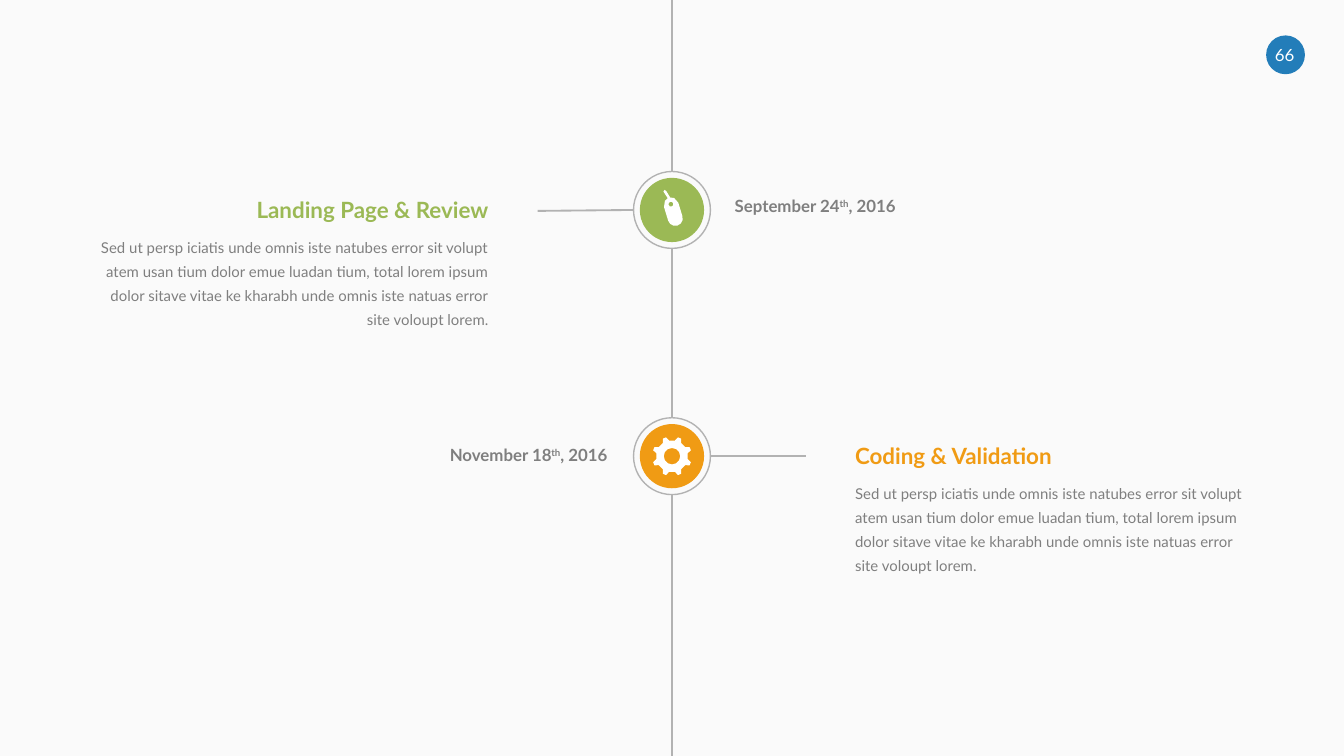
from dataclasses import dataclass
from math import cos, pi, radians, sin
from typing import Callable

from lxml import etree
from pptx import Presentation
from pptx.dml.color import RGBColor
from pptx.enum.shapes import MSO_CONNECTOR, MSO_SHAPE
from pptx.enum.text import PP_ALIGN
from pptx.oxml.ns import qn
from pptx.util import Pt

OVAL = MSO_SHAPE.OVAL
STRAIGHT = MSO_CONNECTOR.STRAIGHT
LEFT, CENTER, RIGHT = PP_ALIGN.LEFT, PP_ALIGN.CENTER, PP_ALIGN.RIGHT

COLORS = {
    "background": "FAFAFA",
    "line": "B2B2B2",
    "text": "7F7F7F",
    "white": "FFFFFF",
    "blue": "237DB9",
    "green": "9BB955",
    "orange": "F09B14",
}
FONT = "Lato"
WIDTH, HEIGHT = 720, 405
AXIS = WIDTH / 2
RING, DISC = 41.2, 34.4
BRANCH = 51.4
TEXT_WIDTH, DATE_WIDTH = 208, 116.6
BODY = (
    "Sed ut persp iciatis unde omnis iste natubes error sit volupt atem usan "
    "tium dolor emue luadan tium, total lorem ipsum dolor sitave vitae ke "
    "kharabh unde omnis iste natuas error site voloupt lorem."
)

Point = tuple[float, float]
Contour = list[Point]


@dataclass
class Run:
    text: str
    superscript: bool = False


@dataclass
class Milestone:
    title: str
    day: str
    year: str
    y: float
    branch_drop: float
    date_top: float
    color: str
    on_left: bool
    icon: Callable[[], list[Contour]]


def arc(radius: float, start: float, end: float, steps: int, y: float = 0) -> Contour:
    angles = [radians(start + (end - start) * i / steps) for i in range(steps + 1)]
    return [(radius * cos(a), y + radius * sin(a)) for a in angles]


def rotate(points: Contour, angle: float) -> Contour:
    c, s = cos(angle), sin(angle)
    return [(x * c - y * s, x * s + y * c) for x, y in points]


def mouse_icon() -> list[Contour]:
    """Tilted capsule with a cable and a wheel hole, around the disc centre."""
    cable = [(-0.7, -3.9), (-1.9, -8), (-1.1, -8.7), (-0.4, -8), (0.7, -3.9)]
    body = cable + arc(4, -50, 0, 1) + arc(4, 0, 180, 6, y=7.6) + arc(4, 180, 230, 1)
    wheel = arc(1.3, 360, 0, 8, y=-0.4)[:-1]
    return [
        [(x - 0.4, y - 2.7) for x, y in rotate(part, radians(-17))]
        for part in (body, wheel)
    ]


def gear_icon() -> list[Contour]:
    """Eight scooped notches around a round hole."""
    notch = [(-3.2, -10.1), (-1.6, -8.4), (1.6, -8.4), (3.2, -10.1)]
    rim = [p for i in range(8) for p in rotate(notch, i * pi / 4)]
    return [rim, arc(4.4, 360, 0, 12)[:-1]]


def rgb(name: str) -> RGBColor:
    return RGBColor.from_string(COLORS[name])


def add_line(slide, x1: float, y1: float, x2: float, y2: float) -> None:
    line = slide.shapes.add_connector(STRAIGHT, Pt(x1), Pt(y1), Pt(x2), Pt(y2))
    line.line.color.rgb = rgb("line")
    line.line.width = Pt(1)
    etree.SubElement(line._element.spPr, qn("a:effectLst"))


def add_circle(shapes, x: float, y: float, size: float, fill: str | None = None) -> None:
    """A filled disc, or an outlined ring when no fill is given."""
    sp = shapes.add_shape(OVAL, Pt(x - size / 2), Pt(y - size / 2), Pt(size), Pt(size))
    sp.shadow.inherit = False
    if fill:
        sp.fill.solid()
        sp.fill.fore_color.rgb = rgb(fill)
        sp.line.fill.background()
    else:
        sp.fill.background()
        sp.line.color.rgb = rgb("line")
        sp.line.width = Pt(0.75)


def add_icon(shapes, x: float, y: float, contours: list[Contour]) -> None:
    placed = [[(Pt(x + dx), Pt(y + dy)) for dx, dy in c] for c in contours]
    first = placed[0][0]
    builder = shapes.build_freeform(first[0], first[1], scale=1.0)
    for i, points in enumerate(placed):
        if i:
            builder.move_to(*points[0])
        builder.add_line_segments(points[1:], close=True)
    sp = builder.convert_to_shape()
    sp.shadow.inherit = False
    sp.fill.solid()
    sp.fill.fore_color.rgb = rgb("white")
    sp.line.fill.background()


def add_text(slide, x: float, y: float, w: float, h: float, runs: list[Run], size: float,
             color: str, align: PP_ALIGN, bold: bool = False, spacing: float = 1.0) -> None:
    tf = slide.shapes.add_textbox(Pt(x), Pt(y), Pt(w), Pt(h)).text_frame
    tf.word_wrap = True
    tf.margin_left = tf.margin_right = tf.margin_top = tf.margin_bottom = 0
    p = tf.paragraphs[0]
    p.alignment = align
    p.line_spacing = spacing
    for run in runs:
        r = p.add_run()
        r.text = run.text
        r.font.name = FONT
        r.font.size = Pt(size)
        r.font.bold = bold
        r.font.color.rgb = rgb(color)
        if run.superscript:
            r.font._element.set("baseline", "30000")


def add_milestone(slide, m: Milestone) -> None:
    side = -1 if m.on_left else 1
    inner = AXIS + side * RING / 2
    add_line(slide, inner, m.y, inner + side * BRANCH, m.y + m.branch_drop)

    text_x = 53.8 if m.on_left else 458.1
    align, date_align = (RIGHT, LEFT) if m.on_left else (LEFT, RIGHT)
    date_x = 393.6 if m.on_left else 325.4 - DATE_WIDTH
    date = [Run(m.day), Run("th", superscript=True), Run(m.year)]
    add_text(slide, date_x, m.date_top, DATE_WIDTH, 10.8, date, 9, "text", date_align, bold=True)
    add_text(slide, text_x, m.y - 7.4, TEXT_WIDTH, 14.4, [Run(m.title)], 12, m.color, align, bold=True)
    add_text(slide, text_x, m.y + 11.8, TEXT_WIDTH, 51.1, [Run(BODY)], 8, "text", align, spacing=1.35)

    add_circle(slide.shapes, AXIS, m.y, RING)
    badge = slide.shapes.add_group_shape()
    add_circle(badge.shapes, AXIS, m.y, DISC, m.color)
    add_icon(badge.shapes, AXIS, m.y, m.icon())


MILESTONES = [
    Milestone("Landing Page & Review", "September 24", ", 2016", 112.5, 0.5, 105.1, "green", True, mouse_icon),
    Milestone("Coding & Validation", "November 18", ", 2016", 244.4, 0, 238.1, "orange", False, gear_icon),
]


def main() -> None:
    prs = Presentation()
    prs.slide_width, prs.slide_height = Pt(WIDTH), Pt(HEIGHT)
    slide = prs.slides.add_slide(prs.slide_layouts[6])
    slide.background.fill.solid()
    slide.background.fill.fore_color.rgb = rgb("background")

    add_circle(slide.shapes, 688.7, 29.4, 20.8, "blue")
    add_text(slide, 679.2, 23.8, 18, 10.8, [Run("66")], 9, "white", CENTER)

    top = 0.0
    for m in MILESTONES:
        add_line(slide, AXIS, top, AXIS, m.y - RING / 2)
        add_milestone(slide, m)
        top = m.y + RING / 2
    add_line(slide, AXIS, top, AXIS, HEIGHT)

    prs.save("out.pptx")


if __name__ == "__main__":
    main()
